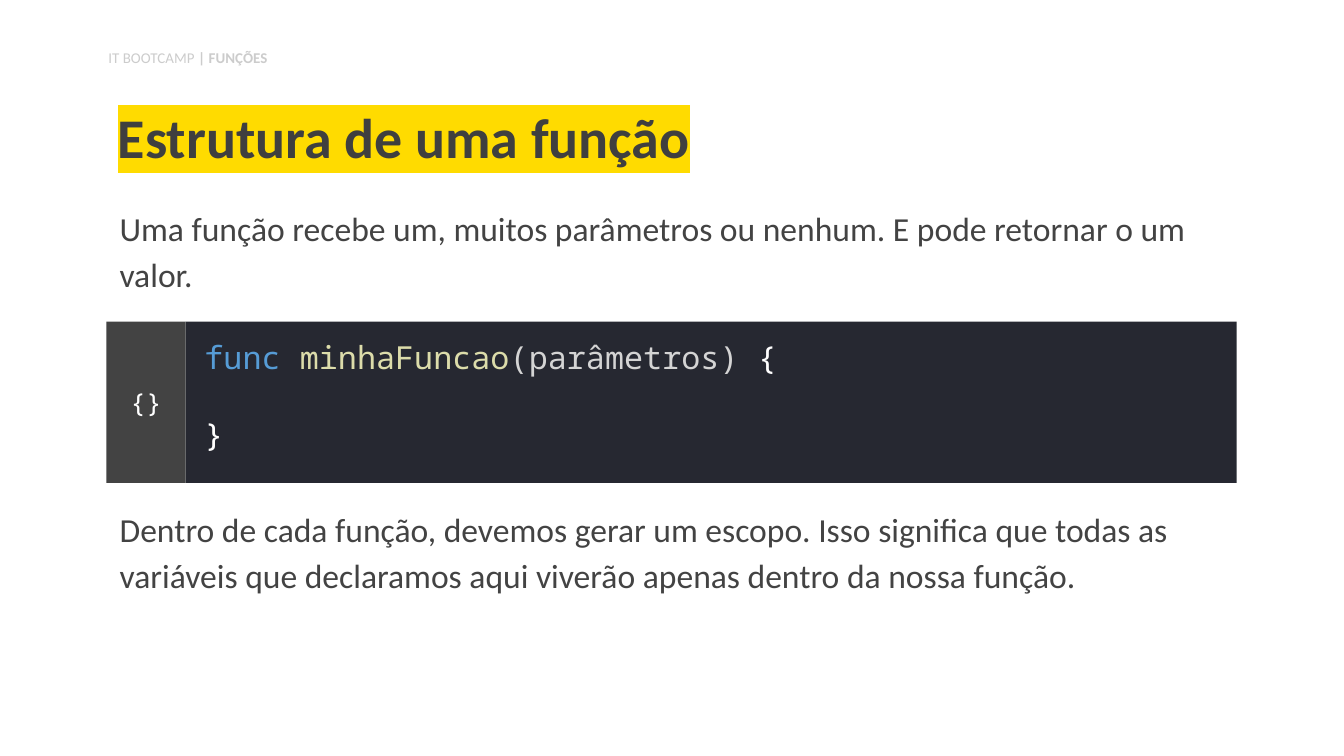
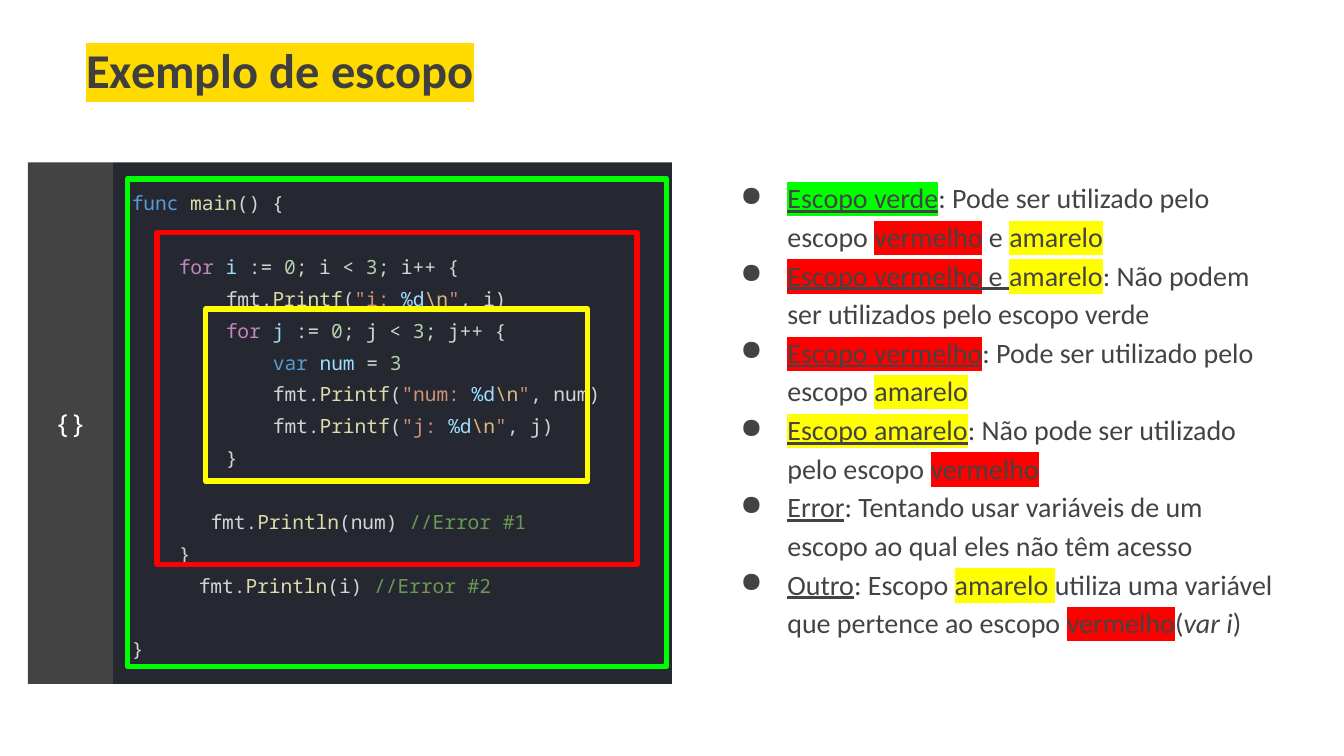
from dataclasses import dataclass, field
from typing import Any

import pptx
import pptx.dml.color
import pptx.enum.shapes
import pptx.enum.text
import pptx.oxml
import pptx.oxml.ns
import pptx.slide
import pptx.util
from lxml import etree

Pt = pptx.util.Pt
RGB = pptx.dml.color.RGBColor.from_string
ALIGN = pptx.enum.text.PP_ALIGN
ANCHOR = pptx.enum.text.MSO_ANCHOR
qn = pptx.oxml.ns.qn
TITLE_ONLY = 5


@dataclass(frozen=True)
class Theme:
    body_font: str = "Calibri"
    code_font: str = "Noto Sans Mono"
    white: str = "FFFFFF"
    title: str = "3F3F3F"
    title_mark: str = "FFDB00"
    body: str = "434343"
    crumb: str = "CCCCCC"
    panel: str = "262831"
    gutter: str = "434343"
    # scopes
    green: str = "00FF00"
    red: str = "FF0000"
    yellow: str = "FFFF00"
    # code tokens
    keyword: str = "569CD6"
    control: str = "C586C0"
    function: str = "DCDCAA"
    variable: str = "9CDCFE"
    number: str = "B5CEA8"
    string: str = "CE9178"
    escape: str = "D7BA7D"
    comment: str = "6A9955"
    plain: str = "D4D4D4"
    # type sizes
    crumb_pt: float = 8
    body_pt: float = 18
    bullet_pt: float = 15
    brace_pt: float = 14
    snippet_pt: float = 17
    listing_pt: float = 10.5


T = Theme()


@dataclass(frozen=True)
class Box:
    x: float
    y: float
    w: float
    h: float

    def lengths(self) -> tuple[pptx.util.Length, ...]:
        return tuple(Pt(v) for v in (self.x, self.y, self.w, self.h))


@dataclass(frozen=True)
class Run:
    text: str
    color: str = T.body
    mark: str = ""
    fmt: dict[str, bool] = field(default_factory=dict)


@dataclass(frozen=True)
class Para:
    runs: list[Run]
    indent: float = 0
    hanging: float = 0
    bullet: str = ""
    fmt: dict[str, Any] = field(default_factory=dict)


@dataclass(frozen=True)
class Style:
    size: float
    font: str = T.body_font
    para: dict[str, Any] = field(default_factory=dict)


BODY = Style(T.body_pt, para={"line_spacing": 1.15})
BULLETS = Style(T.bullet_pt, para={"line_spacing": 1.15})
CRUMB = Style(T.crumb_pt)
BRACES = Style(T.brace_pt, T.code_font, {"alignment": ALIGN.CENTER})
SNIPPET = Style(T.snippet_pt, T.code_font, {"alignment": ALIGN.LEFT})
LISTING = Style(T.listing_pt, T.code_font, {"line_spacing": 1.36})


def apply(obj: Any, values: dict[str, Any]) -> None:
    for name, value in values.items():
        setattr(obj, name, value)


def add_run(p: Any, run: Run, style: Style) -> None:
    r = p.add_run()
    r.text = run.text
    apply(r.font, {"name": style.font, "size": Pt(style.size), **run.fmt})
    r.font.color.rgb = RGB(run.color)
    if run.mark:
        mark = etree.Element(qn("a:highlight"))
        etree.SubElement(mark, qn("a:srgbClr"), val=run.mark)
        r.font._element.find(qn("a:solidFill")).addnext(mark)


def write(tf: Any, paras: list[Para], style: Style,
          inset: tuple[float, float, float, float] = (7.2, 7.2, 7.2, 7.2),
          anchor: Any = ANCHOR.TOP) -> None:
    """Fill a text frame; inset is left, top, right, bottom."""
    left, top, right, bottom = (Pt(v) for v in inset)
    apply(tf, {"word_wrap": True, "vertical_anchor": anchor,
               "auto_size": pptx.enum.text.MSO_AUTO_SIZE.NONE,
               "margin_left": left, "margin_top": top,
               "margin_right": right, "margin_bottom": bottom})
    for i, para in enumerate(paras):
        p = tf.add_paragraph() if i else tf.paragraphs[0]
        apply(p, {**style.para, **para.fmt})
        pPr = p._p.get_or_add_pPr()
        pPr.set("marL", str(Pt(para.indent)))
        pPr.set("indent", str(Pt(para.hanging)))
        if para.bullet:
            color = etree.SubElement(pPr, qn("a:buClr"))
            etree.SubElement(color, qn("a:srgbClr"), val=T.body)
            etree.SubElement(pPr, qn("a:buChar"), char=para.bullet)
        for run in para.runs:
            add_run(p, run, style)


def add_text(s: pptx.slide.Slide, box: Box, paras: list[Para], style: Style,
             **layout: Any) -> None:
    write(s.shapes.add_textbox(*box.lengths()).text_frame, paras, style, **layout)


def set_title(s: pptx.slide.Slide, box: Box, text: str, size: float, anchor: Any) -> None:
    sp = s.shapes.title
    apply(sp, dict(zip(("left", "top", "width", "height"), box.lengths())))
    style = Style(size, para={"line_spacing": 0.9, "alignment": ALIGN.LEFT})
    run = Run(text, T.title, T.title_mark, {"bold": True})
    write(sp.text_frame, [Para([run])], style, anchor=anchor)


def add_rect(shapes: Any, box: Box, fill: str = "", line: str = "") -> Any:
    sp = shapes.add_shape(pptx.enum.shapes.MSO_SHAPE.RECTANGLE, *box.lengths())
    sp.shadow.inherit = False
    if fill:
        sp.fill.solid()
        sp.fill.fore_color.rgb = RGB(fill)
    else:
        sp.fill.background()
    if line:
        sp.line.color.rgb = RGB(line)
        sp.line.width = Pt(3)
    else:
        sp.line.fill.background()
    return sp


def add_code_panel(s: pptx.slide.Slide, box: Box, gutter: float) -> Any:
    """Draw the dark panel with its braces gutter; return the dark part."""
    shapes = s.shapes.add_group_shape().shapes
    code = add_rect(shapes, Box(box.x + gutter, box.y, box.w - gutter, box.h), T.panel)
    side = add_rect(shapes, Box(box.x, box.y, gutter, box.h), T.gutter)
    write(side.text_frame, [Para([Run("{}", T.white)])], BRACES, anchor=ANCHOR.MIDDLE)
    return code


def code_line(*tokens: tuple[str, str], cols: float = 0, gap: bool = False) -> Para:
    """One line of the listing, indented by columns, with a line's gap above if asked."""
    fmt = {"space_before": Pt(17)} if gap else {}
    return Para([Run(*token) for token in tokens], indent=cols * 6.3, fmt=fmt)


def for_line(var: str, cols: int, gap: bool = False) -> Para:
    return code_line(("for ", T.control), (var, T.variable), (" := ", T.plain),
                     ("0", T.number), (f"; {var} < ", T.plain), ("3", T.number),
                     (f"; {var}++ {{", T.plain), cols=cols, gap=gap)


def printf_line(var: str, cols: int) -> Para:
    return code_line(("fmt.", T.plain), ("Printf", T.function), ("(", T.plain),
                     (f'"{var}: ', T.string), ("%d", T.variable), (r"\n", T.escape),
                     ('"', T.string), (f", {var})", T.plain), cols=cols)


def println_line(var: str, error: int, cols: float, gap: bool = False) -> Para:
    return code_line(("fmt.", T.plain), ("Println", T.function), (f"({var}) ", T.plain),
                     (f"//Error #{error}", T.comment), cols=cols, gap=gap)


def close_line(cols: int = 0, gap: bool = False) -> Para:
    return code_line(("}", T.plain), cols=cols, gap=gap)


def term(text: str, mark: str = "") -> Run:
    return Run(text, mark=mark, fmt={"underline": True})


def bullet(*runs: Run) -> Para:
    return Para(list(runs), indent=36, hanging=-25.2, bullet="●")


def build_structure(s: pptx.slide.Slide) -> None:
    set_title(s, Box(56, 49, 607, 49.5), "Estrutura de uma função", 30, ANCHOR.BOTTOM)
    crumb = [Run("IT BOOTCAMP", T.crumb), Run(" | FUNÇÕES", T.crumb, fmt={"bold": True})]
    add_text(s, Box(51, 22.5, 226, 19.5), [Para(crumb)], CRUMB, inset=(7.2, 3.6, 7.2, 3.6))
    add_text(s, Box(57, 101, 607, 60), [Para([Run(
        "Uma função recebe um, muitos parâmetros ou nenhum. "
        "E pode retornar o um valor.")])], BODY)
    code = add_code_panel(s, Box(57, 172.3, 605.5, 86.5), 42.5)
    write(code.text_frame, [
        Para([Run("func ", T.keyword), Run("minhaFuncao", T.function),
              Run("(parâmetros)", T.plain), Run(" {", T.white)]),
        Para([Run("}", T.white)], fmt={"space_before": Pt(21)}),
    ], SNIPPET, inset=(10, 0, 7.2, 7.2), anchor=ANCHOR.MIDDLE)
    add_text(s, Box(57, 262, 605.5, 86.5), [Para([Run(
        "Dentro de cada função, devemos gerar um escopo. Isso significa que todas as "
        "variáveis que declaramos aqui viverão apenas dentro da nossa função.")])], BODY)


def build_scope(s: pptx.slide.Slide) -> None:
    set_title(s, Box(39, 18, 448, 43), "Exemplo de escopo", 26, ANCHOR.TOP)
    add_code_panel(s, Box(15, 87, 345, 279.5), 45.5)
    add_text(s, Box(63.5, 90.7, 283.5, 266.5), [
        code_line(("func ", T.keyword), ("main", T.function), ("() {", T.plain)),
        for_line("i", 4, gap=True),
        printf_line("i", 8),
        for_line("j", 8),
        code_line(("var ", T.keyword), ("num", T.variable), (" = ", T.plain),
                  ("3", T.number), cols=12),
        printf_line("num", 12),
        printf_line("j", 12),
        close_line(8),
        println_line("num", 1, 6.7, gap=True),
        close_line(4),
        println_line("i", 2, 5.7),
        close_line(gap=True),
    ], LISTING)
    frames = {T.green: Box(68.4, 95.8, 288.7, 261.4),
              T.red: Box(84.2, 124.6, 257, 177.8),
              T.yellow: Box(110.2, 165.6, 204.5, 92.2)}
    for color, box in frames.items():
        add_rect(s.shapes, box, line=color)

    red, yellow = Run("vermelho", mark=T.red), Run("amarelo", mark=T.yellow)
    add_text(s, Box(378.7, 87, 313.2, 318), [
        bullet(term("Escopo verde", T.green), Run(": Pode ser utilizado pelo escopo "),
               red, Run(" e "), yellow),
        bullet(term("Escopo vermelho", T.red), term(" e "), yellow,
               Run(": Não podem ser utilizados pelo escopo verde")),
        bullet(term("Escopo vermelho", T.red), Run(": Pode ser utilizado pelo escopo "),
               yellow),
        bullet(term("Escopo amarelo", T.yellow),
               Run(": Não pode ser utilizado pelo escopo "), red),
        bullet(term("Error"),
               Run(": Tentando usar variáveis de um escopo ao qual eles não têm acesso")),
        bullet(term("Outro"), Run(": Escopo "), Run("amarelo ", mark=T.yellow),
               Run("utiliza uma variável que pertence ao escopo "), red,
               Run("("), Run("var i", fmt={"italic": True}), Run(")")),
    ], BULLETS)


def main() -> None:
    prs = pptx.Presentation()
    apply(prs, {"slide_width": Pt(720), "slide_height": Pt(405)})
    for build in (build_structure, build_scope):
        build(prs.slides.add_slide(prs.slide_layouts[TITLE_ONLY]))
    prs.save("out.pptx")


if __name__ == "__main__":
    main()
